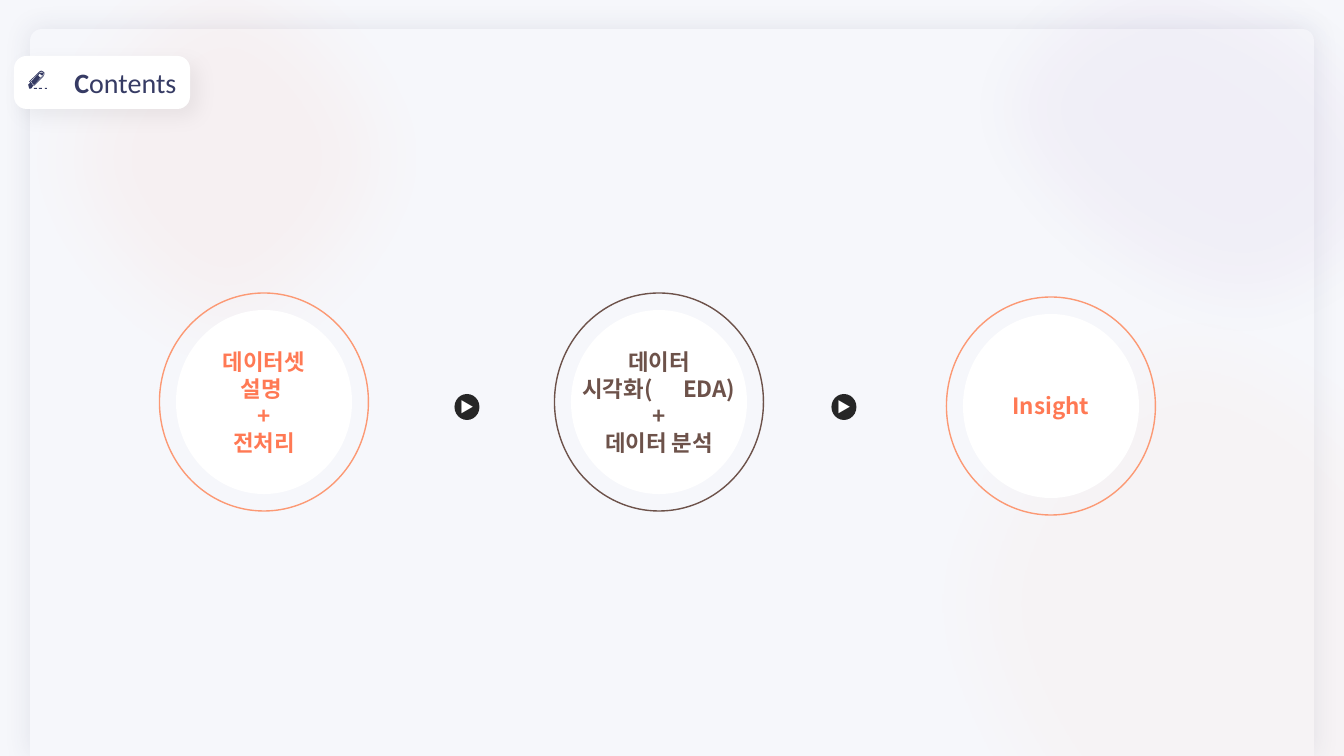
from lxml import etree
from pptx import Presentation
from pptx.dml.color import RGBColor
from pptx.enum.shapes import MSO_SHAPE
from pptx.enum.text import MSO_ANCHOR, PP_ALIGN
from pptx.oxml.ns import qn
from pptx.util import Emu, Pt

OVAL, RECT = MSO_SHAPE.OVAL, MSO_SHAPE.RECTANGLE
ROUNDED, TOP_ROUNDED = MSO_SHAPE.ROUNDED_RECTANGLE, MSO_SHAPE.ROUND_2_SAME_RECTANGLE
MIDDLE = MSO_ANCHOR.MIDDLE
CENTER, RIGHT = PP_ALIGN.CENTER, PP_ALIGN.RIGHT

PX = 914400 / 100.8
WIDTH, HEIGHT = 1344, 756
KOREAN, LATIN = "Noto Sans CJK KR", "Calibri"
COLORS = {
    "page": "F6F7FB", "white": "FFFFFF", "navy": "363B64", "black": "000000",
    "coral": "FF7954", "peach": "FC9974", "brown": "6D524A", "dark": "262626",
    "rose": "FD9374", "purple": "7030A0",
}

# Pencil outlines in tenths of a px, measured from the tag's corner
PENCIL_BODY = [
    [(152, 327), (172, 327), (193, 297), (203, 297), (293, 206), (304, 186), (304, 166),
     (293, 156), (273, 146), (253, 156), (152, 256), (162, 267), (142, 287)],
    [(253, 166), (273, 156), (293, 166), (298, 186), (293, 196), (193, 297),
     (172, 267), (162, 256)],
]
PENCIL_CORE = [
    [(193, 287), (203, 287), (283, 196), (293, 186), (293, 166), (273, 166),
     (253, 166), (172, 256)],
    [(253, 176), (283, 196), (263, 216), (243, 196)],
]


def px(n):
    return Emu(round(n * PX))


def rgb(name):
    return RGBColor.from_string(COLORS[name])


def paint(sp, fill=None, line=None):
    sp.shadow.inherit = False
    if fill:
        sp.fill.solid()
        sp.fill.fore_color.rgb = rgb(fill)
    else:
        sp.fill.background()
    if line:
        sp.line.color.rgb = rgb(line)
        sp.line.width = Pt(1)
    else:
        sp.line.fill.background()
    return sp


def add_shape(s, kind, x, y, w, h, fill=None, line=None):
    return paint(s.shapes.add_shape(kind, px(x), px(y), px(w), px(h)), fill, line)


def add_oval(s, cx, cy, w, h, fill=None, line=None):
    return add_shape(s, OVAL, cx - w / 2, cy - h / 2, w, h, fill, line)


def set_alpha(color, percent):
    etree.SubElement(color, qn("a:alpha"), val=str(percent * 1000))


def add_shadow(sp, color, alpha, blur, dist=0, angle=0):
    effects = sp._element.spPr.find(qn("a:effectLst"))
    shadow = etree.SubElement(effects, qn("a:outerShdw"), blurRad=str(Pt(blur)),
                              dist=str(Pt(dist)), dir=str(angle * 60000),
                              algn="ctr", rotWithShape="0")
    set_alpha(etree.SubElement(shadow, qn("a:srgbClr"), val=COLORS[color]), alpha)


def add_run(p, text, face, color, size, bold=False):
    r = p.add_run()
    r.text = text
    for name, value in {"name": face, "size": Pt(size), "bold": bold}.items():
        setattr(r.font, name, value)
    r.font.color.rgb = rgb(color)
    etree.SubElement(r._r.get_or_add_rPr(), qn("a:ea"), typeface=face)


def write_lines(sp, lines, color, size, bold=False):
    tf = sp.text_frame
    tf.vertical_anchor = MIDDLE
    tf.word_wrap = False
    for i, line in enumerate(lines):
        p = tf.add_paragraph() if i else tf.paragraphs[0]
        p.alignment = CENTER
        add_run(p, line, KOREAN, color, size, bold)


def add_outline(s, x, y, contours, fill):
    first, *holes = contours
    builder = s.shapes.build_freeform(*first[0], scale=PX / 10)
    builder.add_line_segments(first[1:])
    for hole in holes:
        builder.move_to(*hole[0])
        builder.add_line_segments(hole[1:])
    return paint(builder.convert_to_shape(px(x), px(y)), fill)


def add_backdrop(s, x, y, w, h):
    panel = add_shape(s, TOP_ROUNDED, x, y, w, h, "page")
    panel.adjustments[0] = 0.016
    add_shadow(panel, "navy", 10, 18)
    # Soft colour blobs: centre, size, rotation, colour, opacity
    for cx, cy, bw, bh, turn, color, alpha in (
            (197, 128, 454, 495, 0, "rose", 7),
            (1175, 111, 454, 568, 291.5, "purple", 4),
            (1194, 609, 631, 733, 339.8, "peach", 4)):
        blob = add_oval(s, x + cx, y + cy, bw, bh, color)
        blob.rotation = turn
        spPr = blob._element.spPr
        set_alpha(spPr.find(qn("a:solidFill"))[0], alpha)
        etree.SubElement(spPr.find(qn("a:effectLst")), qn("a:softEdge"), rad=str(Pt(50)))


def add_title_tag(s, x, y, w, h):
    tag = add_shape(s, ROUNDED, x, y, w, h, "white")
    tag.adjustments[0] = 0.237
    add_shadow(tag, "black", 5, 15, 8, 45)
    tag.text_frame.vertical_anchor = MIDDLE
    p = tag.text_frame.paragraphs[0]
    p.alignment = RIGHT
    add_run(p, "C", LATIN, "navy", 20, True)
    add_run(p, "ontents", LATIN, "navy", 20)
    # Pencil with a dashed stroke under it
    for contours in (PENCIL_BODY, PENCIL_CORE):
        add_outline(s, x, y, contours, "navy")
    for dash_x, dash_w in ((20, 3), (25, 3), (31, 2)):
        add_shape(s, RECT, x + dash_x, y + 32, dash_w, 1, "navy")


def add_step(s, cx, cy, lines, ring, text):
    add_oval(s, cx, cy, 176, 184, "white")
    add_oval(s, cx, cy, 209, 218, line=ring)
    write_lines(add_oval(s, cx, cy, 135, 140, "white"), lines, text, 16, True)


def add_play_button(s, cx, cy):
    write_lines(add_oval(s, cx, cy, 25, 26, "dark"), ["▶"], "white", 10)


def main():
    prs = Presentation()
    prs.slide_width, prs.slide_height = px(WIDTH), px(HEIGHT)
    s = prs.slides.add_slide(prs.slide_layouts[6])
    s.background.fill.solid()
    s.background.fill.fore_color.rgb = rgb("page")

    add_backdrop(s, 30, 29, 1284, 727)
    add_title_tag(s, 14, 56, 176, 53)

    # Steps and the buttons between them
    add_step(s, 264, 402, ["데이터셋", "설명 ", "+", "전처리"], "peach", "coral")
    add_step(s, 659, 402, ["데이터", "시각화(\tEDA)", "+", "데이터 분석"], "brown", "brown")
    for cx in (467, 844):
        add_play_button(s, cx, 407)
    add_step(s, 1051, 406, ["Insight"], "peach", "coral")

    prs.save("out.pptx")


if __name__ == "__main__":
    main()
